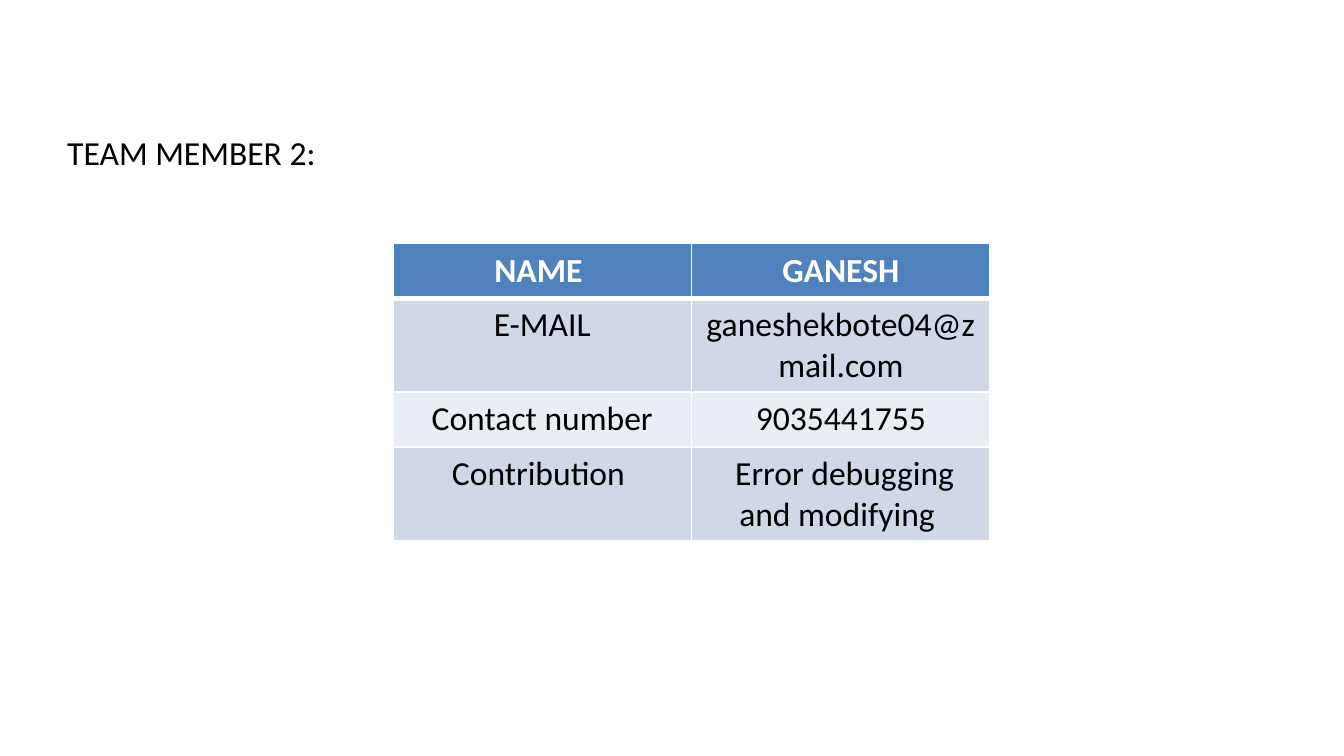
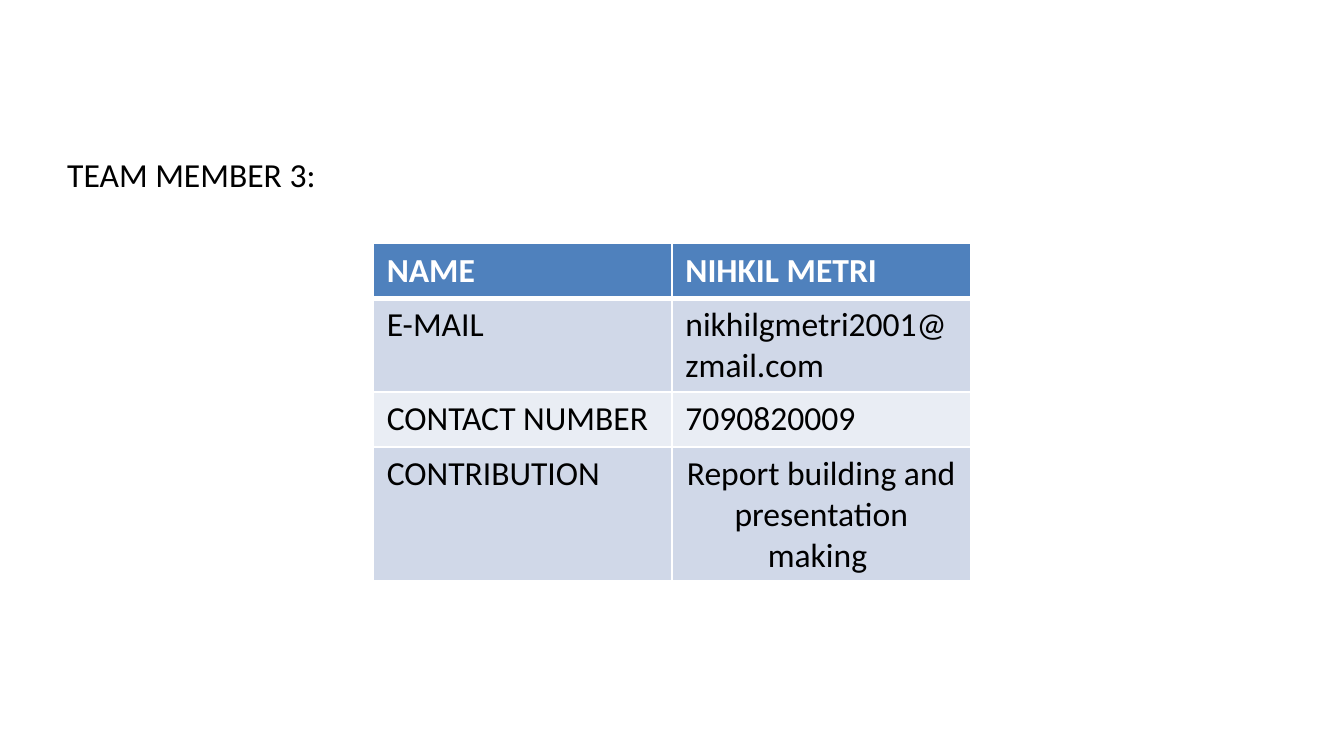
from lxml import etree
from pptx import Presentation
from pptx import util as u
from pptx.dml import color
from pptx.enum import text
from pptx.oxml import ns

COLORS = {"header": "4F81BD", "odd_row": "D0D8E8", "even_row": "E9EDF4",
          "light": "FFFFFF", "dark": "000000"}
FONT, FONT_SIZE = "Calibri", 18
LEFT, CENTER = text.PP_ALIGN.LEFT, text.PP_ALIGN.CENTER

# Each cell is its wording and alignment
MEMBERS = [
    {"heading": "TEAM MEMBER 2:", "heading_top": 70.5, "table_left": 210.5, "rows": [
        [("NAME ", CENTER), ("GANESH", CENTER)],
        [("E-MAIL", CENTER), ("ganeshekbote04@zmail.com", CENTER)],
        [("Contact number", CENTER), ("9035441755", CENTER)],
        [("Contribution ", CENTER), (" Error debugging and modifying ", CENTER)],
    ]},
    {"heading": "TEAM MEMBER 3:", "heading_top": 82.5, "table_left": 200, "rows": [
        [("NAME", LEFT), ("NIHKIL METRI", LEFT)],
        [("E-MAIL", LEFT), ("nikhilgmetri2001@zmail.com", LEFT)],
        [("CONTACT NUMBER", LEFT), ("7090820009", LEFT)],
        [("CONTRIBUTION", LEFT), ("Report building and presentation making ", CENTER)],
    ]},
]

SLIDE_WIDTH, SLIDE_HEIGHT = 720, 405
MARGIN, HEADING_HEIGHT = 36, 22
TABLE_TOP, COLUMN_WIDTH, ROW_HEIGHT = 130.5, 160, 29.2


def write(frame, wording, alignment, shade, bold=False):
    paragraph = frame.paragraphs[0]
    paragraph.alignment = alignment
    run = paragraph.add_run()
    run.text = wording
    run.font.name, run.font.size, run.font.bold = FONT, u.Pt(FONT_SIZE), bold
    run.font.color.rgb = color.RGBColor.from_string(COLORS[shade])


def add_borders(cell, bottom_width, top_width):
    """Border lines must come before the fill in the cell properties."""
    properties = cell._tc.get_or_add_tcPr()
    widths = {"lnL": 1, "lnR": 1, "lnT": top_width, "lnB": bottom_width}
    for position, (side, width) in enumerate(widths.items()):
        line = etree.Element(ns.qn(f"a:{side}"), w=str(u.Pt(width)))
        fill = etree.SubElement(line, ns.qn("a:solidFill"))
        etree.SubElement(fill, ns.qn("a:srgbClr"), val=COLORS["light"])
        properties.insert(position, line)


def add_heading(slide, wording, top):
    heading = slide.shapes.title
    heading.left, heading.top = u.Pt(MARGIN), u.Pt(top)
    heading.width, heading.height = u.Pt(SLIDE_WIDTH - 2 * MARGIN), u.Pt(HEADING_HEIGHT)
    frame = heading.text_frame
    frame.margin_left = frame.margin_right = frame.margin_top = frame.margin_bottom = 0
    frame.vertical_anchor = text.MSO_ANCHOR.TOP
    frame.auto_size = text.MSO_AUTO_SIZE.SHAPE_TO_FIT_TEXT
    frame.word_wrap = True
    write(frame, wording, LEFT, "dark")


def add_member_table(slide, rows, left):
    columns = len(rows[0])
    table = slide.shapes.add_table(
        len(rows), columns, u.Pt(left), u.Pt(TABLE_TOP),
        u.Pt(columns * COLUMN_WIDTH), u.Pt(len(rows) * ROW_HEIGHT)).table
    for row_index, row in enumerate(rows):
        is_header = row_index == 0
        band = "header" if is_header else "odd_row" if row_index % 2 else "even_row"
        for column_index, (wording, alignment) in enumerate(row):
            cell = table.cell(row_index, column_index)
            cell.fill.solid()
            cell.fill.fore_color.rgb = color.RGBColor.from_string(COLORS[band])
            add_borders(cell, 3 if is_header else 1, 3 if row_index == 1 else 1)
            write(cell.text_frame, wording, alignment,
                  "light" if is_header else "dark", is_header)


def main():
    presentation = Presentation()
    presentation.slide_width = u.Pt(SLIDE_WIDTH)
    presentation.slide_height = u.Pt(SLIDE_HEIGHT)
    title_only = presentation.slide_layouts[5]
    for member in MEMBERS:
        slide = presentation.slides.add_slide(title_only)
        add_heading(slide, member["heading"], member["heading_top"])
        add_member_table(slide, member["rows"], member["table_left"])
    presentation.save("out.pptx")


if __name__ == "__main__":
    main()
